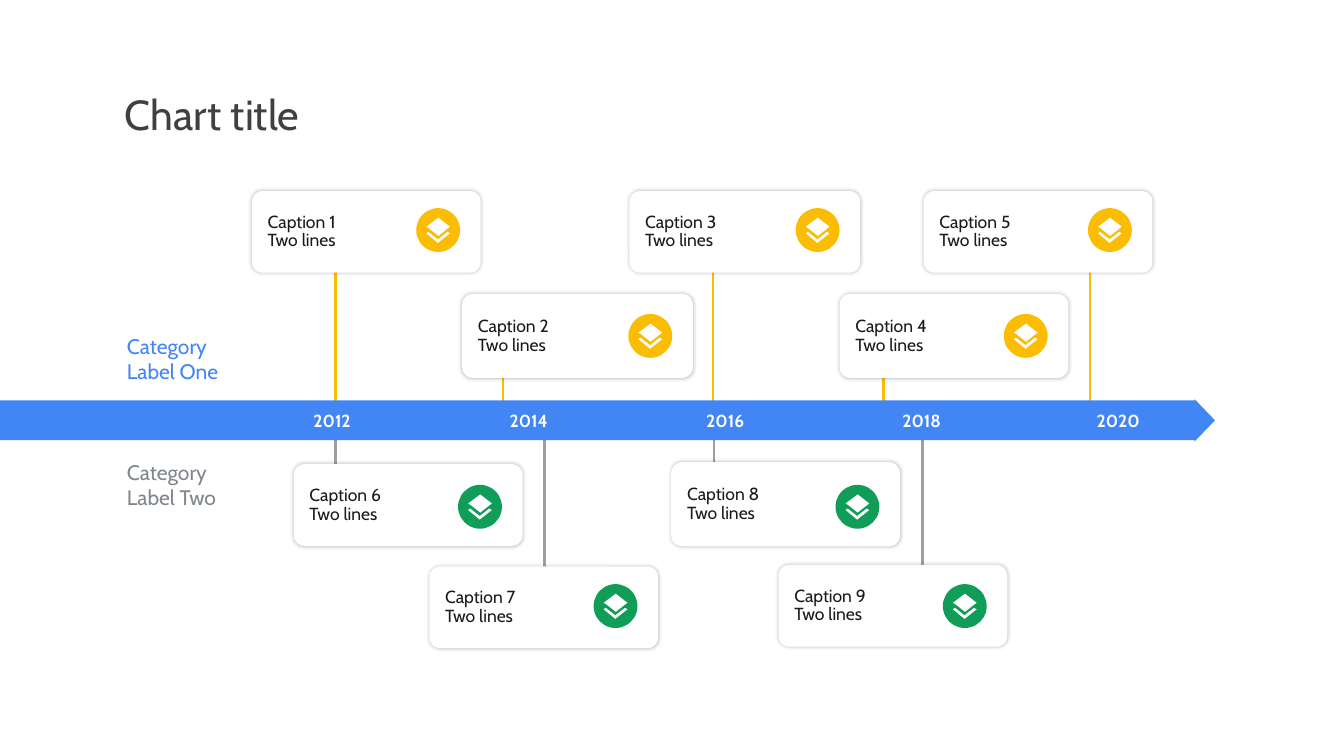
from lxml import etree
from pptx import Presentation
from pptx.dml.color import RGBColor
from pptx.enum import shapes, text
from pptx.oxml import ns
from pptx.util import Pt

PX = 9144  # EMU per px, 100 px to the inch
FONT = "Cabin"
WHITE = RGBColor(0xFF, 0xFF, 0xFF)
INK = RGBColor(0x1A, 0x1A, 0x1A)
TITLE_GREY = RGBColor(0x40, 0x40, 0x40)
LABEL_GREY = RGBColor(0x80, 0x86, 0x8B)
STEM_GREY = RGBColor(0x9A, 0xA0, 0xA6)
BLUE = RGBColor(0x42, 0x85, 0xF4)
YELLOW = RGBColor(0xFB, 0xBC, 0x04)
GREEN = RGBColor(0x0F, 0x9D, 0x58)

# Content
TITLE = "Chart title"
YEARS = ["2012", "2014", "2016", "2018", "2020"]
CATEGORIES = [("Category\nLabel One", 636, BLUE), ("Category\nLabel Two", 886, LABEL_GREY)]
# row: icon top, stem start, stem end, stem colour, icon colour
ROWS = {
    "top": (413, 804, 475, YELLOW, YELLOW),
    "upper": (623, 804, 653, YELLOW, YELLOW),
    "lower": (962, 1037, 834, STEM_GREY, GREEN),
    "bottom": (1159, 1217, 860, STEM_GREY, GREEN),
}
# caption number, row, stem x, card left, top, width, height
CARDS = [
    (1, "top", 665, 500, 379, 454, 162),
    (3, "top", 1415, 1249, 379, 458, 162),
    (2, "upper", 998, 917, 583, 458, 167),
    (5, "top", 2163, 1833, 379, 454, 162),
    (4, "upper", 1753, 1666, 583, 454, 167),
    (6, "lower", 665, 583, 921, 454, 162),
    (7, "bottom", 1081, 852, 1124, 454, 162),
    (9, "bottom", 1831, 1545, 1121, 454, 162),
    (8, "lower", 1417, 1332, 917, 454, 167),
]
YEAR_LEFT, YEAR_STEP = 537, 390
ICON_SIZE, ICON_FROM_RIGHT = 87, 128
CORNER = 0.13
CHEVRON = [(23, 43), (42, 28), (47, 31), (23, 50), (0, 31), (4, 28)]
DIAMOND = [(24, 36), (5, 21), (0, 18), (24, 0), (47, 18), (43, 21)]


def px(*lengths):
    return [length * PX for length in lengths]


def paint(shape, fill=None):
    shape.shadow.inherit = False
    shape.line.fill.background()
    if fill is None:
        shape.fill.background()
    else:
        shape.fill.solid()
        shape.fill.fore_color.rgb = fill


def add_box(kind, place, fill=None, adjustments=()):
    box = page.shapes.add_shape(kind, *px(*place))
    for index, value in enumerate(adjustments):
        box.adjustments[index] = value
    paint(box, fill)
    return box


def write(box, words, size, colour, align=text.PP_ALIGN.LEFT,
          anchor=text.MSO_ANCHOR.MIDDLE, inset=0, bold=False, spacing=None):
    frame = box.text_frame
    frame.word_wrap = True
    frame.auto_size = text.MSO_AUTO_SIZE.NONE
    frame.vertical_anchor = anchor
    frame.margin_left = frame.margin_right = inset * PX
    frame.margin_top = frame.margin_bottom = inset * PX
    para = frame.paragraphs[0]
    para.text = words
    para.alignment = align
    para.line_spacing = spacing
    para.font.name = FONT
    para.font.size = Pt(size)
    para.font.bold = bold
    para.font.color.rgb = colour


def add_stem(x, start, end, colour):
    stem = page.shapes.add_connector(shapes.MSO_CONNECTOR.STRAIGHT, *px(x, start, x, end))
    stem.line.color.rgb = colour
    stem.line.width = Pt(4)
    etree.SubElement(stem._element.spPr, ns.qn("a:effectLst"))


def add_soft_shadow(box):
    effects = box._element.spPr.find(ns.qn("a:effectLst"))
    shadow = etree.SubElement(effects, ns.qn("a:outerShdw"), blurRad=str(Pt(6)),
                              dist="0", dir="0", algn="ctr", rotWithShape="0")
    colour = etree.SubElement(shadow, ns.qn("a:srgbClr"), val="000000")
    etree.SubElement(colour, ns.qn("a:alpha"), val="25000")


def add_icon(left, top, colour):
    add_box(shapes.MSO_SHAPE.OVAL, (left, top, ICON_SIZE, ICON_SIZE), colour)
    outline = page.shapes.build_freeform(*CHEVRON[0], scale=PX)
    outline.add_line_segments(CHEVRON[1:], close=True)
    outline.move_to(*DIAMOND[0])
    outline.add_line_segments(DIAMOND[1:], close=True)
    paint(outline.convert_to_shape(*px(left + 20, top + 19)), WHITE)


deck = Presentation()
deck.slide_width, deck.slide_height = px(2667, 1500)
page = deck.slides.add_slide(deck.slide_layouts[5])

# Title
title = page.shapes.title
title.left, title.top, title.width, title.height = px(248, 170, 379, 106)
write(title, TITLE, 60, TITLE_GREY, anchor=text.MSO_ANCHOR.BOTTOM)

# Stems, behind the arrow and the cards
for number, row, stem_x, *place in CARDS:
    icon_top, start, end, stem_colour, icon_colour = ROWS[row]
    add_stem(stem_x, start, end, stem_colour)

# Time arrow with its years
add_box(shapes.MSO_SHAPE.RIGHT_ARROW, (-5, 792, 2416, 84), BLUE, (0.937, 0.481))
for index, year in enumerate(YEARS):
    box = add_box(shapes.MSO_SHAPE.ROUNDED_RECTANGLE,
                  (YEAR_LEFT + index * YEAR_STEP, 788, 244, 92), adjustments=(0,))
    write(box, year, 25, WHITE, align=text.PP_ALIGN.CENTER, bold=True)

# Category labels
for words, top, colour in CATEGORIES:
    box = add_box(shapes.MSO_SHAPE.ROUNDED_RECTANGLE, (239, top, 374, 151), adjustments=(0.294,))
    write(box, words, 30, colour)

# Caption cards with their icons
for number, row, stem_x, left, top, width, height in CARDS:
    icon_top, start, end, stem_colour, icon_colour = ROWS[row]
    card = add_box(shapes.MSO_SHAPE.ROUNDED_RECTANGLE, (left, top, width, height),
                   WHITE, (CORNER,))
    add_soft_shadow(card)
    write(card, f"Caption {number}\nTwo lines", 25, INK, inset=25, spacing=0.9)
    add_icon(left + width - ICON_FROM_RIGHT, icon_top, icon_colour)

deck.save("out.pptx")
